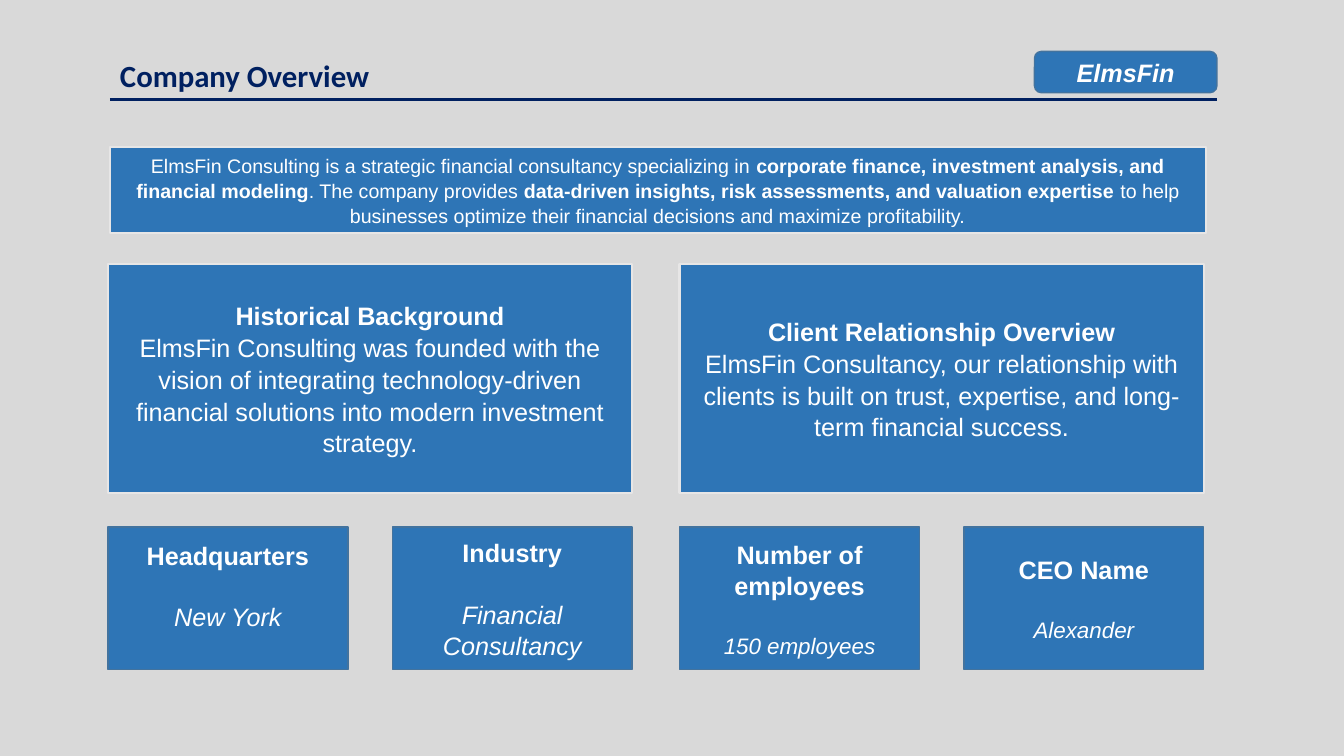
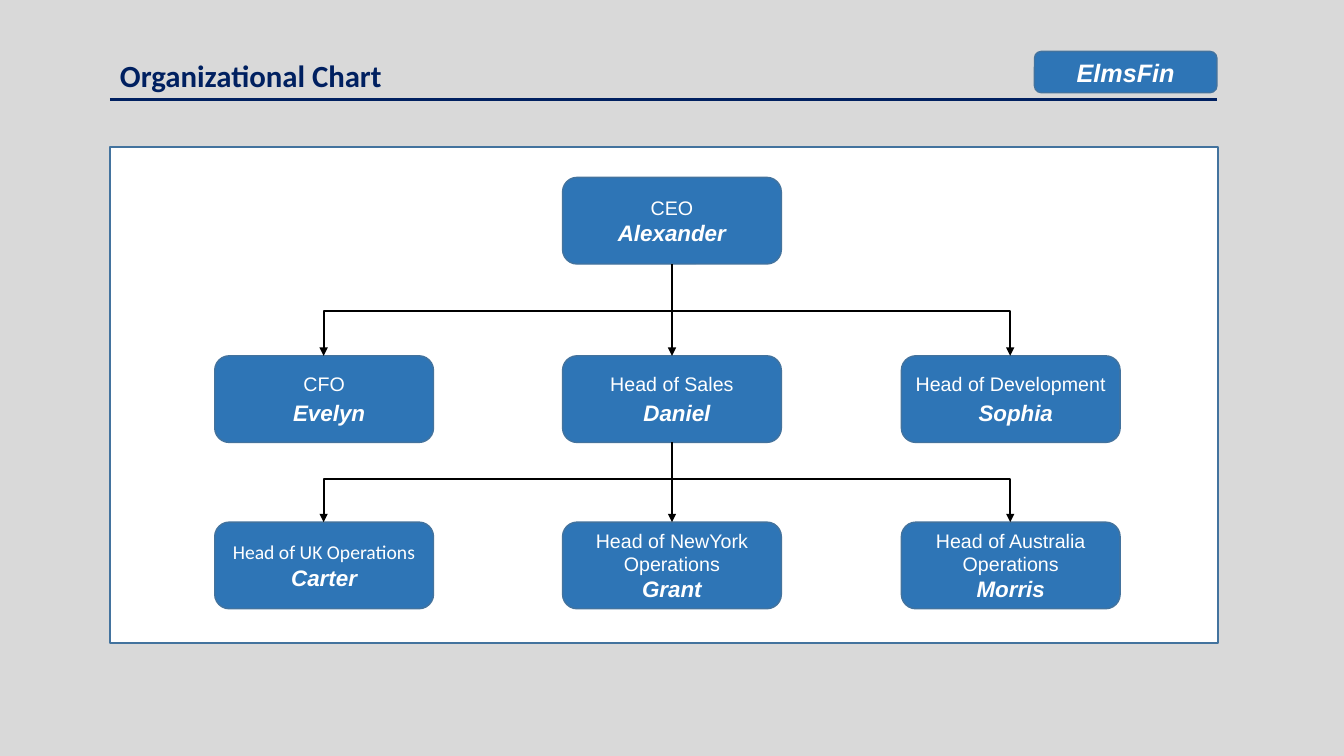
from dataclasses import dataclass, field
from typing import Any, NamedTuple

from lxml.etree import SubElement
from pptx import Presentation
from pptx.dml.color import RGBColor
from pptx.enum.shapes import MSO_CONNECTOR, MSO_SHAPE
from pptx.enum.text import MSO_ANCHOR, MSO_AUTO_SIZE, PP_ALIGN
from pptx.oxml.ns import qn
from pptx.util import Emu, Pt

PX = 9144  # EMU in one px, 100 px to the inch

GREY, NAVY, BLUE, EDGE = "D9D9D9", "002060", "2E75B6", "43739E"
PALE, WHITE, BLACK = "E7E6E6", "FFFFFF", "000000"

BASE = {"name": "Arial", "bold": False, "italic": False}
HEAD = {"size": Pt(18), "bold": True}
BODY = {"size": Pt(18)}
VALUE = {"size": Pt(18), "italic": True}
SMALL = {"size": Pt(16), "italic": True}
NOTE = {"size": Pt(14)}
STRONG = {"size": Pt(14), "bold": True}
PERSON = {"size": Pt(16), "bold": True, "italic": True}
BRAND = {"size": Pt(18), "bold": True, "italic": True}
TITLE = {"name": "Calibri", "size": Pt(22), "bold": True}


class Box(NamedTuple):
    left: int
    top: int
    width: int
    height: int

    def scaled(self) -> list[Emu]:
        return [Emu(side * PX) for side in self]


class Run(NamedTuple):
    text: str
    style: dict[str, Any]


@dataclass
class Para:
    runs: list[Run]
    before: float = 0
    indent: int = 0


@dataclass
class Look:
    kind: MSO_SHAPE = MSO_SHAPE.RECTANGLE
    fill: str = BLUE
    line: str = EDGE
    weight: float = 1
    inset: tuple[int, int] = (10, 5)
    lift: int = 0
    leading: float = 1.0


@dataclass
class Card:
    head: str
    value: str
    style: dict[str, Any] = field(default_factory=lambda: VALUE)
    lift: int = 0


@dataclass
class Post:
    role: str
    name: str
    font: str = "Arial"
    before: float = 0
    indent: int = 0


PANEL = Look(line=PALE, weight=1.5, leading=1.05)
NODE = Look(kind=MSO_SHAPE.ROUNDED_RECTANGLE, inset=(0, 0))
BADGE = Look(kind=MSO_SHAPE.ROUNDED_RECTANGLE)

INTRO = [
    Run("ElmsFin Consulting is a strategic financial consultancy specializing in ", NOTE),
    Run("corporate finance, investment analysis, and financial modeling", STRONG),
    Run(". The company provides ", NOTE),
    Run("data-driven insights, risk assessments, and valuation expertise", STRONG),
    Run(" to help businesses optimize their financial decisions and maximize "
        "profitability.", NOTE),
]
PANELS = [
    ("Historical Background",
     "ElmsFin Consulting was founded with the vision of integrating "
     "technology-driven financial solutions into modern investment strategy."),
    ("Client Relationship Overview",
     "ElmsFin Consultancy, our relationship with clients is built on trust, "
     "expertise, and long-term financial success."),
]
CARDS = [
    Card("Headquarters", "New York", lift=26),
    Card("Industry", "Financial Consultancy"),
    Card("Number of employees", "150 employees", SMALL),
    Card("CEO Name", "Alexander", SMALL),
]
CHIEF = Post("CEO", "Alexander")
HEADS = [
    Post("CFO", "Evelyn", before=3, indent=10),
    Post("Head of Sales", "Daniel", before=3, indent=10),
    Post("Head of Development", "Sophia", before=3, indent=10),
]
UNITS = [
    Post("Head of UK Operations", "Carter", font="Calibri"),
    Post("Head of NewYork Operations", "Grant"),
    Post("Head of Australia Operations", "Morris"),
]
COLUMNS = (213, 558, 894)
NODE_W, NODE_H = 217, 86


def rgb(code: str) -> RGBColor:
    return RGBColor.from_string(code)


def apply(target: Any, values: dict[str, Any]) -> None:
    for key, value in values.items():
        setattr(target, key, value)


def write(frame: Any, paras: list[Para], color: str = WHITE,
          align: PP_ALIGN = PP_ALIGN.CENTER, leading: float = 1.0) -> None:
    for index, para in enumerate(paras):
        line = frame.add_paragraph() if index else frame.paragraphs[0]
        apply(line, {"alignment": align, "line_spacing": leading,
                     "space_before": Pt(para.before), "space_after": Pt(0)})
        if para.indent:
            apply_indent = line._p.get_or_add_pPr().set
            apply_indent("marL", str(para.indent * PX))
            apply_indent("indent", "0")
        for text, style in para.runs:
            run = line.add_run()
            run.text = text
            apply(run.font, BASE | style)
            run.font.color.rgb = rgb(color)


def inset(frame: Any, side: int, end: int, lift: int = 0) -> None:
    """Set the margins; lift is extra room below that raises centred text."""
    apply(frame, {"margin_left": side * PX, "margin_right": side * PX,
                  "margin_top": end * PX, "margin_bottom": (end + lift) * PX,
                  "word_wrap": True, "auto_size": MSO_AUTO_SIZE.NONE})


def draw(slide: Any, box: Box, look: Look, paras: list[Para]) -> Any:
    shape = slide.shapes.add_shape(look.kind, *box.scaled())
    shape.shadow.inherit = False
    shape.fill.solid()
    shape.fill.fore_color.rgb = rgb(look.fill)
    shape.line.color.rgb = rgb(look.line)
    shape.line.width = Pt(look.weight)
    frame = shape.text_frame
    inset(frame, *look.inset, look.lift)
    frame.vertical_anchor = MSO_ANCHOR.MIDDLE
    write(frame, paras, leading=look.leading)
    return shape


def link(slide: Any, start: tuple[int, int], end: tuple[int, int], color: str = BLACK,
         weight: float = 1.5, bent: bool = False, arrow: bool = True) -> Any:
    ends = [Emu(value * PX) for value in (*start, *end)]
    line = slide.shapes.add_connector(MSO_CONNECTOR.STRAIGHT, *ends)
    line.line.color.rgb = rgb(color)
    line.line.width = Pt(weight)
    props = line._element.spPr
    if bent:
        props.prstGeom.set("prst", "bentConnector2")
    if arrow:
        SubElement(line.line._get_or_add_ln(), qn("a:tailEnd"), type="triangle")
    SubElement(props, qn("a:effectLst"))
    return line


def start_slide(deck: Any, title: str) -> Any:
    """Add a slide with its title, rule and badge."""
    slide = deck.slides.add_slide(deck.slide_layouts[5])
    holder = slide.shapes.title
    sides = ("left", "top", "width", "height")
    apply(holder, dict(zip(sides, Box(109, 51, 366, 47).scaled())))
    inset(holder.text_frame, 10, 5)
    holder.text_frame.vertical_anchor = MSO_ANCHOR.TOP
    write(holder.text_frame, [Para([Run(title, TITLE)])], NAVY, PP_ALIGN.LEFT)
    link(slide, (109, 99), (1207, 99), NAVY, 2.25, arrow=False)
    draw(slide, Box(1026, 51, 181, 41), BADGE, [Para([Run("ElmsFin", BRAND)])])
    return slide


def add_profile(deck: Any) -> None:
    slide = start_slide(deck, "Company Overview")
    draw(slide, Box(109, 146, 1087, 85), PANEL, [Para(INTRO)])
    width, small = 520, 238
    for index, (head, text) in enumerate(PANELS):
        left = 107 + index * 567
        draw(slide, Box(left, 262, width, 227), PANEL,
             [Para([Run(head, HEAD)]), Para([Run(text, BODY)])])
        pair = CARDS[2 * index:2 * index + 2]
        for card, place in zip(pair, (left, left + width - small)):
            look = Look(lift=card.lift, leading=1.05)
            draw(slide, Box(place, 523, small, 141), look,
                 [Para([Run(card.head, HEAD)]),
                  Para([Run(card.value, card.style)], before=21.5)])


def add_node(slide: Any, post: Post, left: int, top: int) -> Any:
    role = Run(post.role, NOTE | {"name": post.font})
    name = Para([Run(post.name, PERSON)], post.before, post.indent)
    return draw(slide, Box(left, top, NODE_W, NODE_H), NODE, [Para([role]), name])


def add_row(slide: Any, boss: Any, posts: list[Post], top: int, bus: int) -> Any:
    """Draw the posts under their boss and return the middle one."""
    half = NODE_W // 2
    trunk = COLUMNS[1] + half
    nodes = [add_node(slide, post, left, top) for post, left in zip(posts, COLUMNS)]
    for left in (COLUMNS[0], COLUMNS[2]):
        link(slide, (trunk, bus), (left + half, top), bent=True)
    stem = link(slide, (trunk, bus), (trunk, top))
    stem.begin_connect(boss, 2)
    stem.end_connect(nodes[1], 0)
    return nodes[1]


def add_chart(deck: Any) -> None:
    slide = start_slide(deck, "Organizational Chart")
    draw(slide, Box(109, 146, 1099, 492), Look(fill=WHITE), [])
    chief = add_node(slide, CHIEF, COLUMNS[1], 176)
    sales = add_row(slide, chief, HEADS, 353, 309)
    add_row(slide, sales, UNITS, 518, 475)


def main() -> None:
    deck = Presentation()
    deck.slide_width, deck.slide_height = Emu(1333 * PX), Emu(750 * PX)
    back = deck.slide_master.background.fill
    back.solid()
    back.fore_color.rgb = rgb(GREY)
    add_profile(deck)
    add_chart(deck)
    deck.save("out.pptx")


if __name__ == "__main__":
    main()
